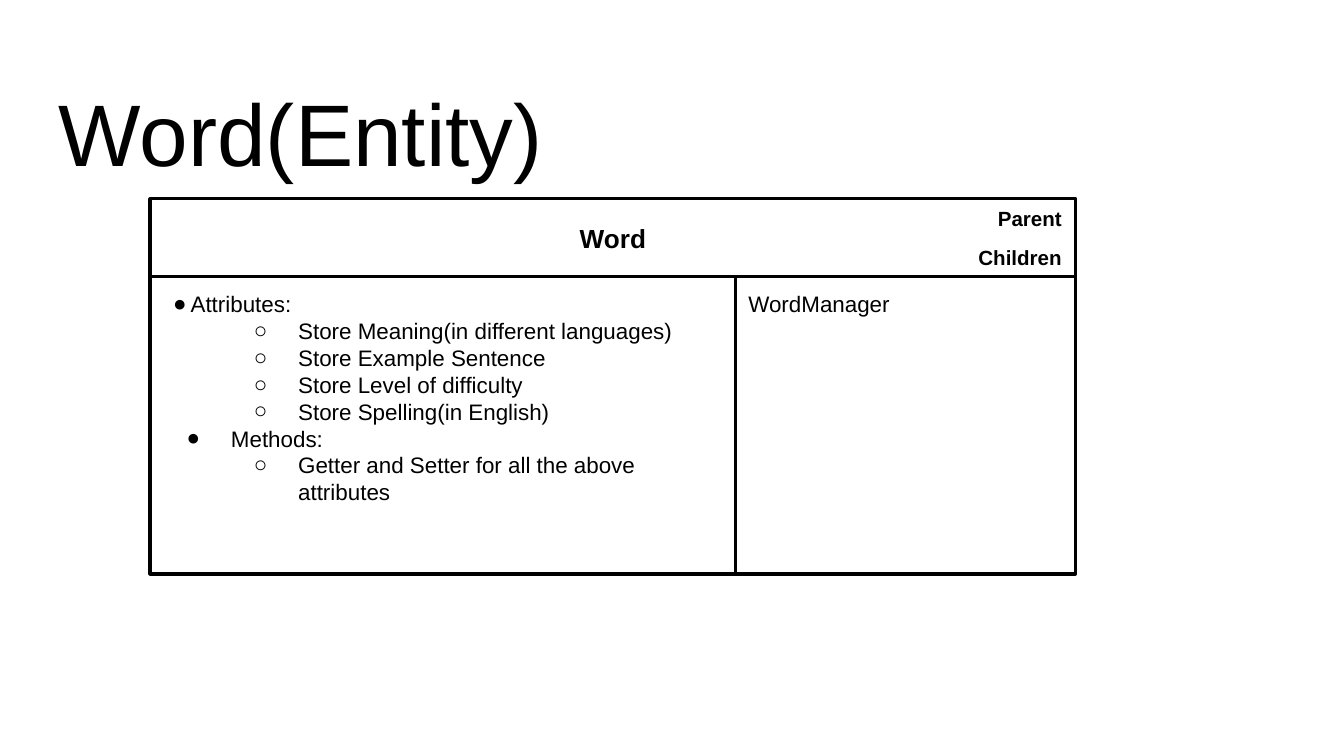
"""Build a class card slide for the Word entity."""
import pptx
import pptx.util
import pptx.dml.color
import pptx.enum.shapes
import pptx.enum.text
import pptx.oxml.ns
import lxml.etree

BLACK = pptx.dml.color.RGBColor(0, 0, 0)
WHITE = pptx.dml.color.RGBColor(255, 255, 255)
Inches = pptx.util.Inches
ALIGN = pptx.enum.text.PP_ALIGN
ANCHOR = pptx.enum.text.MSO_ANCHOR

deck = pptx.Presentation()
deck.slide_width = Inches(10)
deck.slide_height = deck.slide_width * 9 // 16
page = deck.slides.add_slide(deck.slide_layouts[6])
card = page.shapes.add_group_shape()


def add_box(parent, place, border):
    lengths = [Inches(value) for value in place]
    if border is None:
        return parent.shapes.add_textbox(*lengths)
    box = parent.shapes.add_shape(pptx.enum.shapes.MSO_SHAPE.RECTANGLE, *lengths)
    box.shadow.inherit = False
    box.fill.solid()
    box.fill.fore_color.rgb = WHITE
    box.line.color.rgb = BLACK
    box.line.width = pptx.util.Pt(border)
    return box


def add_bullet(para, symbol, indent, hanging):
    props = para._p.get_or_add_pPr()
    props.set("marL", str(Inches(indent)))
    props.set("indent", str(-Inches(hanging)))
    color = lxml.etree.SubElement(props, pptx.oxml.ns.qn("a:buClr"))
    lxml.etree.SubElement(color, pptx.oxml.ns.qn("a:srgbClr"), val=str(BLACK))
    lxml.etree.SubElement(props, pptx.oxml.ns.qn("a:buFont"), typeface="Arial")
    lxml.etree.SubElement(props, pptx.oxml.ns.qn("a:buChar"), char=symbol)


left, middle, right = 1.12, 5.47, 8
top, divider, bottom = 1.48, 2.06, 4.27
label_height = (divider - top) / 2

MAIN = ("●", 0.5, 0.33, 0)
SUB = ("○", 1, 0.33, 1)
duties = [
    ("Attributes:", ("●", 0.2, 0.13, 0)),
    ("Store Meaning(in different languages)", SUB),
    ("Store Example Sentence", SUB),
    ("Store Level of difficulty", SUB),
    ("Store Spelling(in English)", SUB),
    ("Methods:", MAIN),
    ("Getter and Setter for all the above attributes ", SUB),
]

header = {"size": 14, "bold": True, "align": ALIGN.CENTER, "anchor": ANCHOR.MIDDLE}
label = {**header, "size": 11, "align": ALIGN.RIGHT}
body = {"size": 12, "bold": False, "align": ALIGN.LEFT, "anchor": ANCHOR.TOP}
title = {**body, "size": 46.8}

add_box(card, (left, top, right - left, bottom - top), 2.25)
parts = [
    (card, (left, top, right - left, divider - top), 1.5, header, [("Word", None)]),
    (card, (middle, top, right - middle, label_height), None, label, [("Parent", None)]),
    (card, (middle, top + label_height, right - middle, label_height), None, label, [("Children", None)]),
    (card, (left, divider, middle - left, bottom - divider), 1.5, body, duties),
    (card, (middle, divider, right - middle, bottom - divider), 1.5, body, [("WordManager", None)]),
    (page, (0.34, 0.49, 9.32, 0.63), None, title, [("Word(Entity)", None)]),
]

for parent, place, border, style, lines in parts:
    frame = add_box(parent, place, border).text_frame
    settings = {"word_wrap": True, "vertical_anchor": style["anchor"]}
    settings.update({f"margin_{side}": Inches(0.1) for side in ("left", "top", "right", "bottom")})
    for name, value in settings.items():
        setattr(frame, name, value)
    for index, (text, bullet) in enumerate(lines):
        para = frame.add_paragraph() if index else frame.paragraphs[0]
        para.alignment = style["align"]
        para.line_spacing = 1
        if bullet:
            para.level = bullet[3]
            add_bullet(para, *bullet[:3])
        span = para.add_run()
        span.text = text
        span.font.color.rgb = BLACK
        formats = {"name": "Arial", "size": pptx.util.Pt(style["size"]), "bold": style["bold"]}
        for name, value in formats.items():
            setattr(span.font, name, value)

deck.save("out.pptx")
